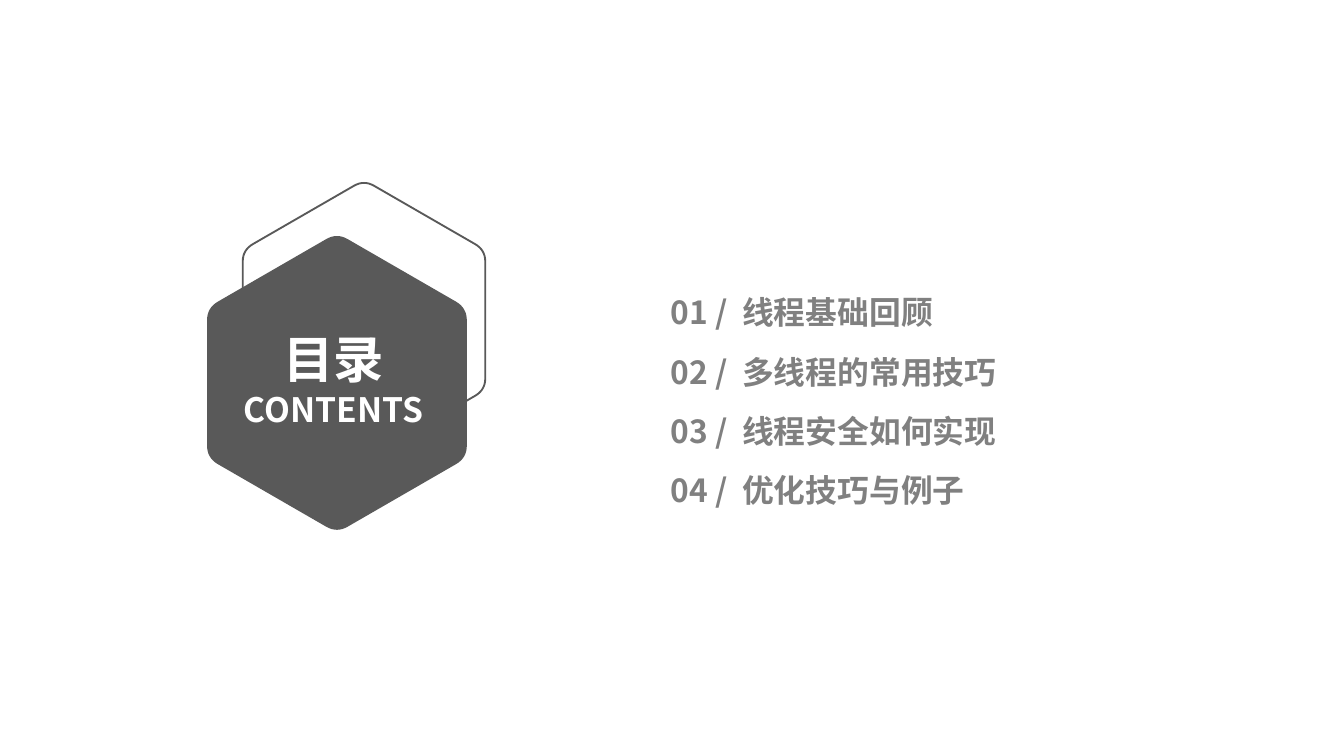
from math import cos, radians, sin

from pptx import Presentation
from pptx.dml.color import RGBColor
from pptx.enum import text
from pptx.util import Pt

PX = 914400 / 134.4
THEME = {
    "font": "Noto Sans CJK SC",
    "dark": RGBColor(0x59, 0x59, 0x59),
    "gray": RGBColor(0x80, 0x80, 0x80),
    "white": RGBColor(0xFF, 0xFF, 0xFF),
    "title": Pt(27),
    "subtitle": Pt(18),
    "item": Pt(17),
}


def px(length):
    return round(length * PX)


def add_hexagon(slide, center_x, center_y, radius):
    """Pointed-top hexagon; each corner is a quadratic curve cut at 1/12 of the side."""
    corners = [(center_x + radius * sin(radians(60 * i)),
                center_y - radius * cos(radians(60 * i))) for i in range(6)]
    points = []
    for i, (x, y) in enumerate(corners):
        before, after = corners[i - 1], corners[(i + 1) % 6]
        for step in range(9):
            t = step / 8
            back, ahead = (1 - t) ** 2 / 12, t ** 2 / 12
            points.append((px(x + back * (before[0] - x) + ahead * (after[0] - x)),
                           px(y + back * (before[1] - y) + ahead * (after[1] - y))))
    builder = slide.shapes.build_freeform(*points[0], scale=1.0)
    builder.add_line_segments(points[1:], close=True)
    shape = builder.convert_to_shape()
    shape.shadow.inherit = False
    return shape


def add_text(slide, left, top, width, height):
    box = slide.shapes.add_textbox(px(left), px(top), px(width), px(height))
    frame = box.text_frame
    frame.word_wrap = True
    frame.margin_left = frame.margin_right = px(10)
    frame.margin_top = frame.margin_bottom = px(5)
    return frame


presentation = Presentation()
presentation.slide_width, presentation.slide_height = px(1344), px(756)
slide = presentation.slides.add_slide(presentation.slide_layouts[6])

# Outlined hexagon behind
outline = add_hexagon(slide, 364, 320, 140)
outline.fill.background()
outline.line.color.rgb = THEME["dark"]
outline.line.width = Pt(1)

# Agenda items
items = ["线程基础回顾", "多线程的常用技巧", "线程安全如何实现", "优化技巧与例子"]
for i, item in enumerate(items):
    frame = add_text(slide, 661, 288 + round(59.5 * i), 438, 48)
    paragraph = frame.paragraphs[0]
    for part in (f"{i + 1:02d} /", " ", item):
        run = paragraph.add_run()
        run.text = part
        run.font.name = THEME["font"]
        run.font.size = THEME["item"]
        run.font.bold = True
        run.font.color.rgb = THEME["gray"]
        properties = run.font._element
        properties.get_or_add_ea().set("typeface", THEME["font"]) if hasattr(
            properties, "get_or_add_ea") else None
        if part == " ":
            properties.set("spc", "375")  # widen the gap after the slash

# Filled hexagon in front
badge = add_hexagon(slide, 337, 383, 150)
badge.fill.solid()
badge.fill.fore_color.rgb = THEME["dark"]
badge.line.fill.background()

# Heading on the filled hexagon
frame = add_text(slide, 211, 323, 245, 112)
frame.text = "目录\nCONTENTS"
for paragraph, size in zip(frame.paragraphs, (THEME["title"], THEME["subtitle"])):
    paragraph.alignment = text.PP_ALIGN.CENTER
    font = paragraph.runs[0].font
    font.name = THEME["font"]
    font.size = size
    font.bold = True
    font.color.rgb = THEME["white"]

# East Asian typeface for every run
for shape in slide.shapes:
    for paragraph in shape.text_frame.paragraphs:
        for run in paragraph.runs:
            latin = run.font._element.find("{http://schemas.openxmlformats.org/drawingml/2006/main}latin")
            east_asian = latin.makeelement(latin.tag.replace("latin", "ea"), {"typeface": THEME["font"]})
            latin.addnext(east_asian)

presentation.save("out.pptx")
